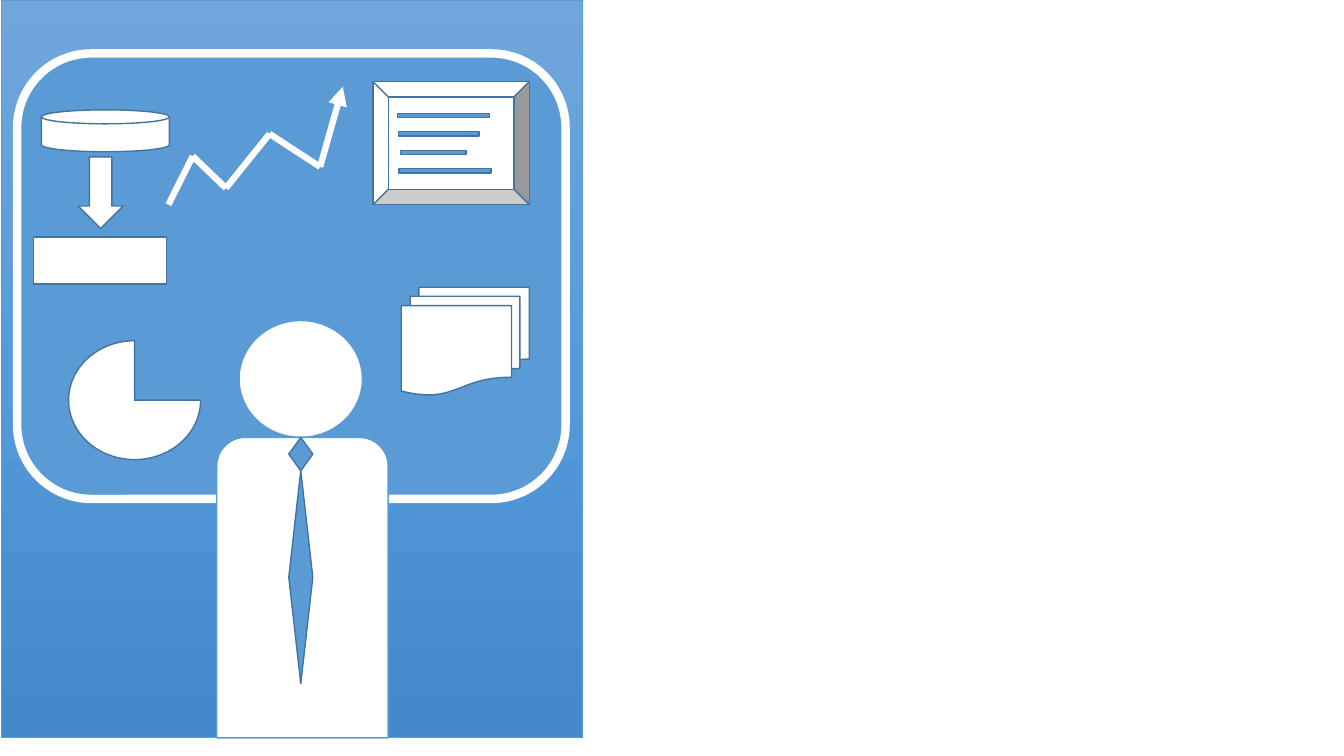
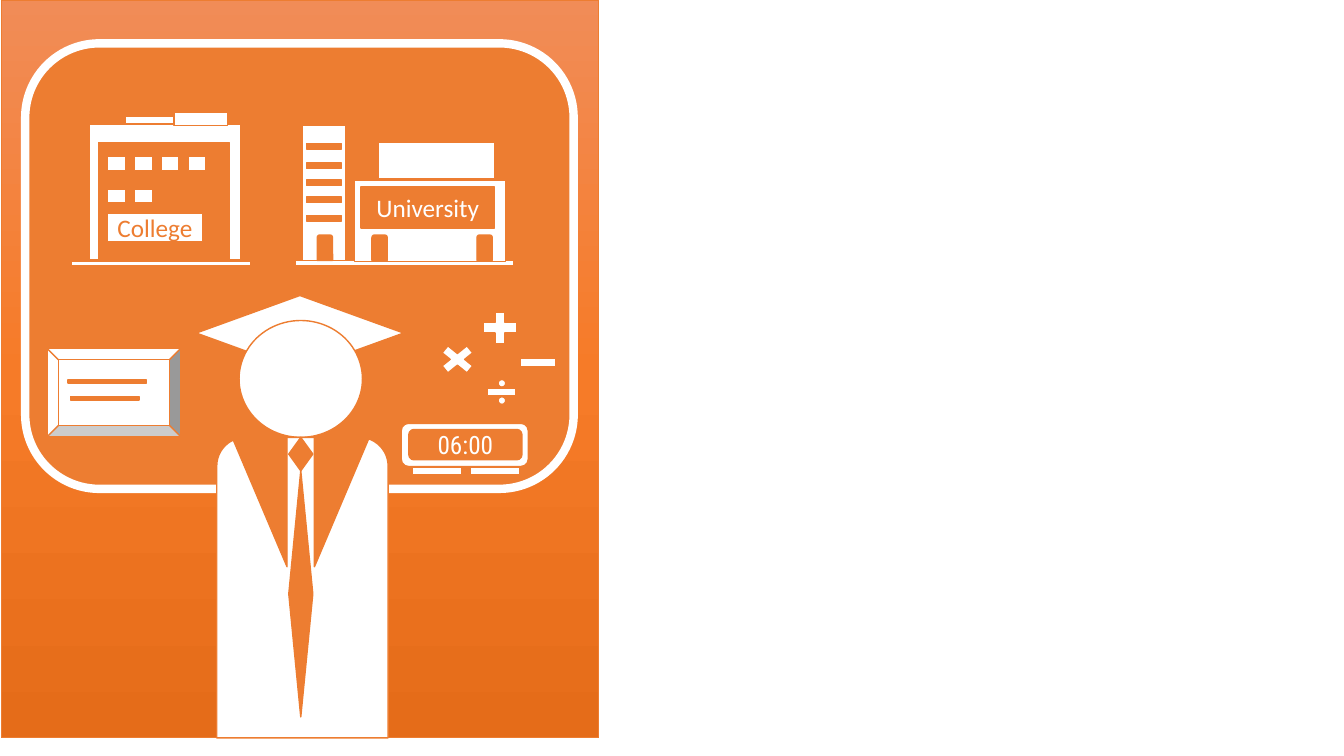
import copy
import dataclasses
import itertools

import pptx
import pptx.dml.color
import pptx.enum.shapes
import pptx.enum.text
import pptx.oxml.ns
import pptx.util

RGB = pptx.dml.color.RGBColor
SHAPE = pptx.enum.shapes.MSO_SHAPE
Inches = pptx.util.Inches
qn = pptx.oxml.ns.qn

WHITE = RGB(0xFF, 0xFF, 0xFF)
BLUE = RGB(0x5B, 0x9B, 0xD5)
DARK_BLUE = RGB(0x43, 0x73, 0x9E)
ORANGE = RGB(0xED, 0x7D, 0x31)
BLUE_SHADES = (RGB(0x71, 0xA6, 0xDB), RGB(0x55, 0x9B, 0xDB), RGB(0x44, 0x8A, 0xCA))
ORANGE_SHADES = (RGB(0xF1, 0x8C, 0x57), RGB(0xF6, 0x7B, 0x28), RGB(0xE5, 0x6C, 0x19))


@dataclasses.dataclass
class Theme:
    main: RGB
    edge: RGB
    shades: tuple


@dataclasses.dataclass
class Box:
    """A region in inches."""
    left: float
    top: float
    width: float
    height: float

    def inner(self, left, top, width, height):
        """Return an inner box given as shares of this one."""
        return Box(self.left + left * self.width, self.top + top * self.height,
                   width * self.width, height * self.height)

    def point(self, across, down):
        return (Inches(self.left + across * self.width),
                Inches(self.top + down * self.height))


BLUE_THEME = Theme(BLUE, DARK_BLUE, BLUE_SHADES)
ORANGE_THEME = Theme(ORANGE, ORANGE, ORANGE_SHADES)


def add_shape(page, kind, box, fill, line, weight=1):
    shape = page.shapes.add_shape(kind, Inches(box.left), Inches(box.top),
                                  Inches(box.width), Inches(box.height))
    shape.shadow.inherit = False
    shape.fill.solid()
    shape.fill.fore_color.rgb = fill
    shape.line.color.rgb = line
    shape.line.width = pptx.util.Pt(weight)
    return shape


def add_pieces(page, kind, box, pieces, fill, line):
    for piece in pieces:
        add_shape(page, kind, box.inner(*piece), fill, line)


def write(shape, text, color=WHITE, font="Calibri", size=18):
    frame = shape.text_frame
    frame.margin_left = frame.margin_right = 0
    frame.margin_top = frame.margin_bottom = 0
    frame.vertical_anchor = pptx.enum.text.MSO_ANCHOR.MIDDLE
    para = frame.paragraphs[0]
    para.alignment = pptx.enum.text.PP_ALIGN.CENTER
    span = para.add_run()
    span.text = text
    span.font.name = font
    span.font.size = pptx.util.Pt(size)
    span.font.color.rgb = color


def draw_backdrop(page, theme, panel, frame):
    """Draw the shaded panel and the rounded white frame on it."""
    shape = add_shape(page, SHAPE.RECTANGLE, panel, theme.main, theme.main, weight=0.5)
    shape.fill.gradient()
    shape.fill.gradient_angle = 270
    stop_list = shape.element.spPr.find(qn("a:gradFill")).find(qn("a:gsLst"))
    stop_list.insert(1, copy.deepcopy(stop_list[0]))
    for stop, position, shade in zip(shape.fill.gradient_stops, (0, 0.5, 1), theme.shades):
        stop.position = position
        stop.color.rgb = shade
    add_shape(page, SHAPE.ROUNDED_RECTANGLE, frame, theme.main, WHITE, weight=6)


def draw_person(page, theme, box, tie_length, graduate=False):
    if graduate:
        add_shape(page, SHAPE.DIAMOND, box.inner(-0.12, -0.06, 1.21, 0.18), WHITE, theme.main)
    add_shape(page, SHAPE.OVAL, box.inner(0.13, 0, 0.72, 0.28), WHITE, theme.main)
    add_shape(page, SHAPE.ROUND_2_SAME_RECTANGLE, box.inner(0, 0.28, 1, 0.72),
              WHITE, theme.main)
    if graduate:
        draw_lapels(page, theme, box.inner(0.09, 0.28, 0.8, 0.31))
    knot_and_tie = ((0.42, 0.28, 0.14, 0.08), (0.42, 0.36, 0.14, tie_length))
    add_pieces(page, SHAPE.DIAMOND, box, knot_and_tie, theme.main, theme.edge)


def draw_lapels(page, theme, box):
    for left, flipped in ((0, False), (0.6, True)):
        lapel = add_shape(page, SHAPE.RIGHT_TRIANGLE, box.inner(left, 0, 0.4, 1),
                          theme.main, theme.main)
        lapel.rotation = 180
        if flipped:
            lapel.element.spPr.find(qn("a:xfrm")).set("flipH", "1")


def draw_board(page, theme, box, bars):
    add_shape(page, SHAPE.BEVEL, box, WHITE, theme.edge)
    add_pieces(page, SHAPE.MATH_MINUS, box, bars, theme.main, theme.edge)


def draw_data_flow(page, theme, box):
    for kind, piece in (
        (SHAPE.FLOWCHART_MAGNETIC_DISK, (0.06, 0, 0.94, 0.24)),
        (SHAPE.DOWN_ARROW, (0.33, 0.27, 0.33, 0.41)),
        (SHAPE.FLOWCHART_PROCESS, (0, 0.73, 0.98, 0.27)),
    ):
        add_shape(page, kind, box.inner(*piece), WHITE, theme.edge)


def draw_trend(page, box):
    """Draw a rising zigzag that ends in an arrowhead."""
    turns = ((0, 1), (0.14, 0.59), (0.33, 0.86), (0.58, 0.4), (0.87, 0.68), (1, 0))
    for start, end in itertools.pairwise(turns):
        line = page.shapes.add_connector(pptx.enum.shapes.MSO_CONNECTOR.STRAIGHT,
                                         *box.point(*start), *box.point(*end))
        line.line.color.rgb = WHITE
        line.line.width = pptx.util.Pt(4.5)
        properties = line.element.spPr
        properties.append(properties.makeelement(qn("a:effectLst"), {}))
    outline = properties.find(qn("a:ln"))
    outline.append(outline.makeelement(qn("a:tailEnd"), {"type": "triangle"}))


def draw_college(page, theme, box):
    main = theme.main
    wall, chimney, pipe = (0.1, 0.08, 0.84, 0.88), (0.57, 0, 0.3, 0.09), (0.3, 0.03, 0.27, 0.05)
    ground = (0, 0.97, 1, 0.03)
    windows = [(0.2 + 0.15 * column, top, 0.1, 0.09)
               for top, count in ((0.29, 4), (0.5, 2)) for column in range(count)]
    add_pieces(page, SHAPE.RECTANGLE, box, (wall, chimney, pipe), WHITE, main)
    add_shape(page, SHAPE.RECTANGLE, box.inner(0.15, 0.2, 0.73, 0.76), main, main)
    add_pieces(page, SHAPE.RECTANGLE, box, (*windows, ground), WHITE, main)
    sign = add_shape(page, SHAPE.RECTANGLE, box.inner(0.2, 0.66, 0.53, 0.18), WHITE, main)
    write(sign, "College", color=main)


def draw_university(page, theme, box):
    main = theme.main
    ground, hall = (0, 0.96, 1, 0.04), (0.27, 0.39, 0.69, 0.58)
    roof, tower = (0.38, 0.12, 0.53, 0.26), (0.03, 0, 0.2, 0.96)
    stripes = [(0.05, top, 0.16, 0.04) for top in (0.13, 0.27, 0.39, 0.51, 0.64)]
    doors = [(left, 0.78, 0.07, 0.18) for left in (0.1, 0.35, 0.83)]
    add_pieces(page, SHAPE.RECTANGLE, box, (ground, hall, roof, tower), WHITE, main)
    add_pieces(page, SHAPE.RECTANGLE, box, stripes, main, main)
    add_pieces(page, SHAPE.ROUND_2_SAME_RECTANGLE, box, doors, main, main)
    sign = add_shape(page, SHAPE.RECTANGLE, box.inner(0.3, 0.44, 0.61, 0.29), main, main)
    write(sign, "University")


def draw_operators(page, theme, box):
    for kind, piece in (
        (SHAPE.MATH_PLUS, (0.34, 0, 0.35, 0.42)),
        (SHAPE.MATH_MULTIPLY, (0, 0.33, 0.37, 0.38)),
        (SHAPE.MATH_MINUS, (0.62, 0.39, 0.38, 0.32)),
        (SHAPE.MATH_DIVIDE, (0.38, 0.68, 0.3, 0.32)),
    ):
        add_shape(page, kind, box.inner(*piece), WHITE, theme.main)


def draw_clock(page, theme, box):
    main = theme.main
    add_shape(page, SHAPE.ROUNDED_RECTANGLE, box.inner(0, 0, 1, 0.84), WHITE, main)
    face = add_shape(page, SHAPE.ROUNDED_RECTANGLE, box.inner(0.06, 0.12, 0.89, 0.59),
                     main, main)
    write(face, "06:00", font="Roboto Condensed")
    feet = [(left, 0.86, 0.39, 0.14) for left in (0.09, 0.54)]
    add_pieces(page, SHAPE.RECTANGLE, box, feet, WHITE, main)


PERSON_BOX = Box(2.15, 3.18, 1.7, 4.14)


def build_analyst_page(page, theme):
    draw_backdrop(page, theme, Box(0.01, 0, 5.77, 7.32), Box(0.17, 0.53, 5.44, 4.42))
    draw_person(page, theme, PERSON_BOX, tie_length=0.51)
    add_shape(page, SHAPE.PIE, Box(0.68, 3.38, 1.31, 1.18), WHITE, theme.edge)
    draw_board(page, theme, Box(3.7, 0.81, 1.55, 1.22), (
        (0.05, 0.2, 0.8, 0.15), (0.07, 0.35, 0.7, 0.15),
        (0.1, 0.51, 0.57, 0.13), (0.06, 0.65, 0.8, 0.15)))
    draw_data_flow(page, theme, Box(0.33, 1.09, 1.35, 1.73))
    add_shape(page, SHAPE.FLOWCHART_MULTIDOCUMENT, Box(3.98, 2.85, 1.27, 1.07),
              WHITE, theme.edge)
    draw_trend(page, Box(1.67, 0.86, 1.73, 1.17))


def build_graduate_page(page, theme):
    draw_backdrop(page, theme, Box(0.01, 0, 5.93, 7.32), Box(0.25, 0.43, 5.44, 4.42))
    draw_person(page, theme, PERSON_BOX, tie_length=0.59, graduate=True)
    draw_board(page, theme, Box(0.47, 3.46, 1.32, 0.87),
               ((0.05, 0.3, 0.8, 0.15), (0.08, 0.49, 0.7, 0.15)))
    draw_college(page, theme, Box(0.71, 1.11, 1.78, 1.53))
    draw_university(page, theme, Box(2.93, 1.24, 2.17, 1.4))
    draw_operators(page, theme, Box(4.3, 3.04, 1.28, 1.01))
    draw_clock(page, theme, Box(3.98, 4.2, 1.26, 0.51))


def main():
    deck = pptx.Presentation()
    deck.slide_width, deck.slide_height = Inches(13.33), Inches(7.5)
    blank = deck.slide_layouts[6]
    build_analyst_page(deck.slides.add_slide(blank), BLUE_THEME)
    build_graduate_page(deck.slides.add_slide(blank), ORANGE_THEME)
    deck.save("out.pptx")


if __name__ == "__main__":
    main()
